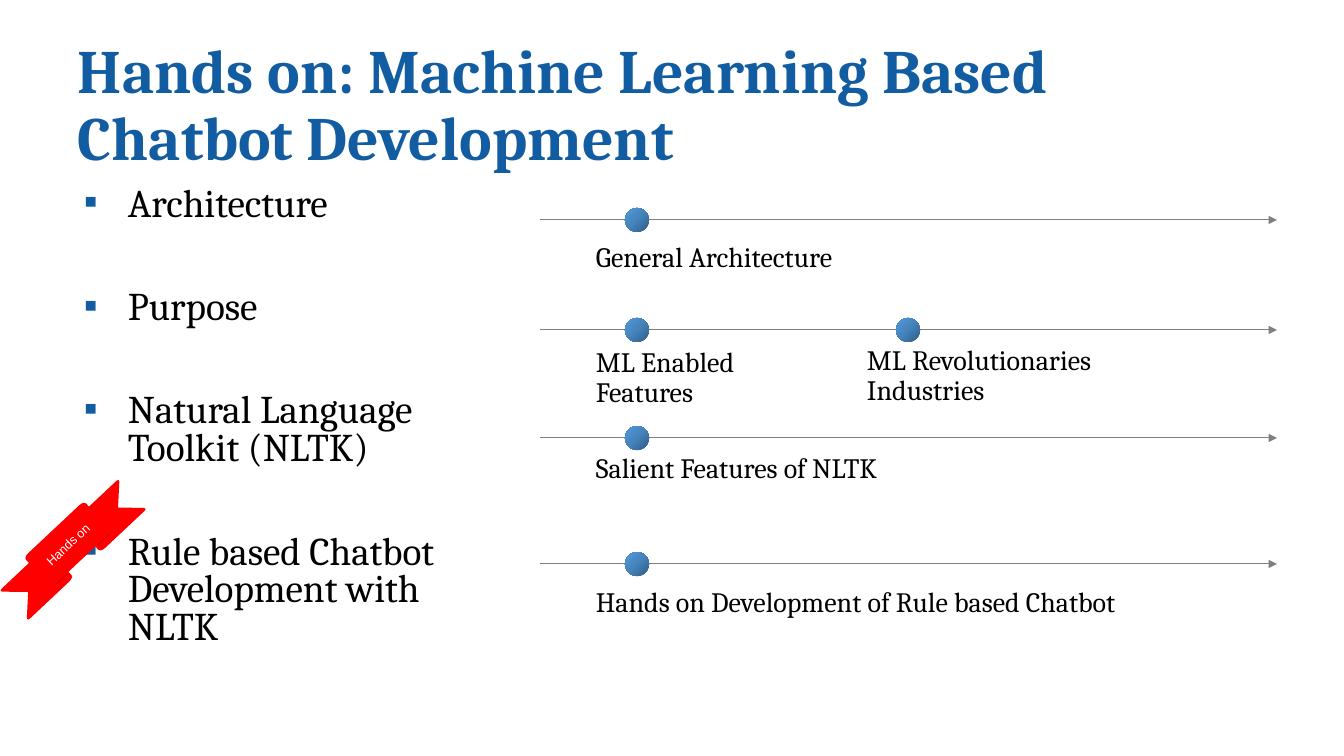
"""Build the chatbot development agenda slide with topic timelines."""
import copy

import pptx
import pptx.util
import pptx.dml.color
import pptx.enum.shapes
import pptx.enum.text
import pptx.oxml
import pptx.oxml.ns
import lxml.etree

SHAPES = pptx.enum.shapes.MSO_SHAPE
ANCHOR = pptx.enum.text.MSO_ANCHOR
ALIGN = pptx.enum.text.PP_ALIGN
BLUE, GRAY, RED, BLACK, WHITE = "125DA2", "808080", "FF0000", "000000", "FFFFFF"
DOT_STOPS = [(0, "305C84"), (0.5, "4583BB"), (1, "529BDE")]
QN = pptx.oxml.ns.qn


def px(value):
    return round(value * 914400 / 100.8)


def color(value):
    return pptx.dml.color.RGBColor.from_string(value)


def apply(target, values):
    for name, value in values.items():
        setattr(target, name, value)


class Painter:
    def __init__(self, page, font):
        self.page = page
        self.font = font

    def fill_text(self, frame, lines, size, ink, font=None, bold=False, **layout):
        for index, line in enumerate(lines):
            para = frame.paragraphs[0] if index == 0 else frame.add_paragraph()
            para.text = line
            apply(para, layout)
            for span in para.runs:
                apply(span.font, {"name": font or self.font, "size": pptx.util.Pt(size), "bold": bold})
                span.font.color.rgb = color(ink)
        return frame.paragraphs

    def text(self, left, top, width, height, lines, size, ink=BLACK,
             insets=(10, 5, 10, 5), anchor=ANCHOR.TOP, **style):
        box = self.page.shapes.add_textbox(px(left), px(top), px(width), px(height))
        sides = ("margin_left", "margin_top", "margin_right", "margin_bottom")
        apply(box.text_frame, {"word_wrap": True, "vertical_anchor": anchor,
                               **dict(zip(sides, map(px, insets)))})
        return self.fill_text(box.text_frame, lines, size, ink, **style)

    def bullet(self, para, margin, hang, mark, ink):
        props = para._p.get_or_add_pPr()
        props.set("marL", str(px(margin)))
        props.set("indent", str(-px(hang)))
        tint = lxml.etree.SubElement(props, QN("a:buClr"))
        lxml.etree.SubElement(tint, QN("a:srgbClr"), val=ink)
        lxml.etree.SubElement(props, QN("a:buFont"), typeface="Arial")
        lxml.etree.SubElement(props, QN("a:buChar"), char=mark)

    def arrow(self, left, right, y):
        line = self.page.shapes.add_connector(
            pptx.enum.shapes.MSO_CONNECTOR.STRAIGHT, px(left), px(y), px(right), px(y))
        line.line.color.rgb = color(GRAY)
        line.line.width = pptx.util.Pt(0.75)
        outline = line._element.spPr.find(QN("a:ln"))
        lxml.etree.SubElement(outline, QN("a:tailEnd"), type="triangle")
        lxml.etree.SubElement(line._element.spPr, QN("a:effectLst"))

    def shape(self, kind, left, top, width, height):
        item = self.page.shapes.add_shape(kind, px(left), px(top), px(width), px(height))
        item.shadow.inherit = False
        return item

    def dot(self, x, y, size=24):
        item = self.shape(SHAPES.OVAL, x - size // 2, y - size // 2, size, size)
        item.line.fill.background()
        item.fill.gradient()
        item.fill.gradient_angle = 135
        stops = item._element.spPr.find(".//" + QN("a:gsLst"))
        stops.insert(1, copy.deepcopy(stops[0]))
        for stop, (position, ink) in zip(item.fill.gradient_stops, DOT_STOPS):
            stop.position = position
            stop.color.rgb = color(ink)

    def ribbon(self, left, top, width, height, angle, label):
        item = self.shape(SHAPES.UP_RIBBON, left, top, width, height)
        item.rotation = angle
        item.fill.solid()
        item.fill.fore_color.rgb = color(RED)
        item.line.color.rgb = color(RED)
        item.line.width = pptx.util.Pt(2)
        item.text_frame.vertical_anchor = ANCHOR.MIDDLE
        self.fill_text(item.text_frame, [label], 9, WHITE, font="Arial", alignment=ALIGN.CENTER)


deck = pptx.Presentation()
apply(deck, {"slide_width": px(1344), "slide_height": px(756)})
painter = Painter(deck.slides.add_slide(deck.slide_layouts[6]), "Cambria")

painter.text(68, 30, 1210, 154, ["Hands on: Machine Learning Based Chatbot Development"], 44, BLUE,
             anchor=ANCHOR.MIDDLE, bold=True, line_spacing=0.9)

topics = painter.text(68, 182, 456, 504, [
    "Architecture", "Purpose", "Natural Language Toolkit (NLTK)",
    "Rule based Chatbot Development with NLTK"], 28,
    line_spacing=0.8, space_before=pptx.util.Pt(47))
topics[0].space_before = pptx.util.Pt(10)
for topic in topics:
    painter.bullet(topic, 50, 44, "▪", BLUE)

timelines = [
    (220, [(637, 243, 291, "General Architecture")]),
    (330, [(637, 348, 279, "ML Enabled\vFeatures"),
           (908, 346, 289, "ML Revolutionaries Industries")]),
    (438, [(637, 454, 351, "Salient Features of NLTK")]),
    (564, [(637, 588, 686, "Hands on Development of Rule based Chatbot")]),
]
for y, steps in timelines:
    painter.arrow(540, 1277, y)
    for x, top, width, label in steps:
        painter.dot(x, y)
        painter.text(x - 47, top, width, 31, [label], 20, insets=(6, 0, 0, 0),
                     line_spacing=0.9, space_before=pptx.util.Pt(10))

painter.ribbon(-9, 524, 159, 46, 316.8, "Hands on")
deck.save("out.pptx")
